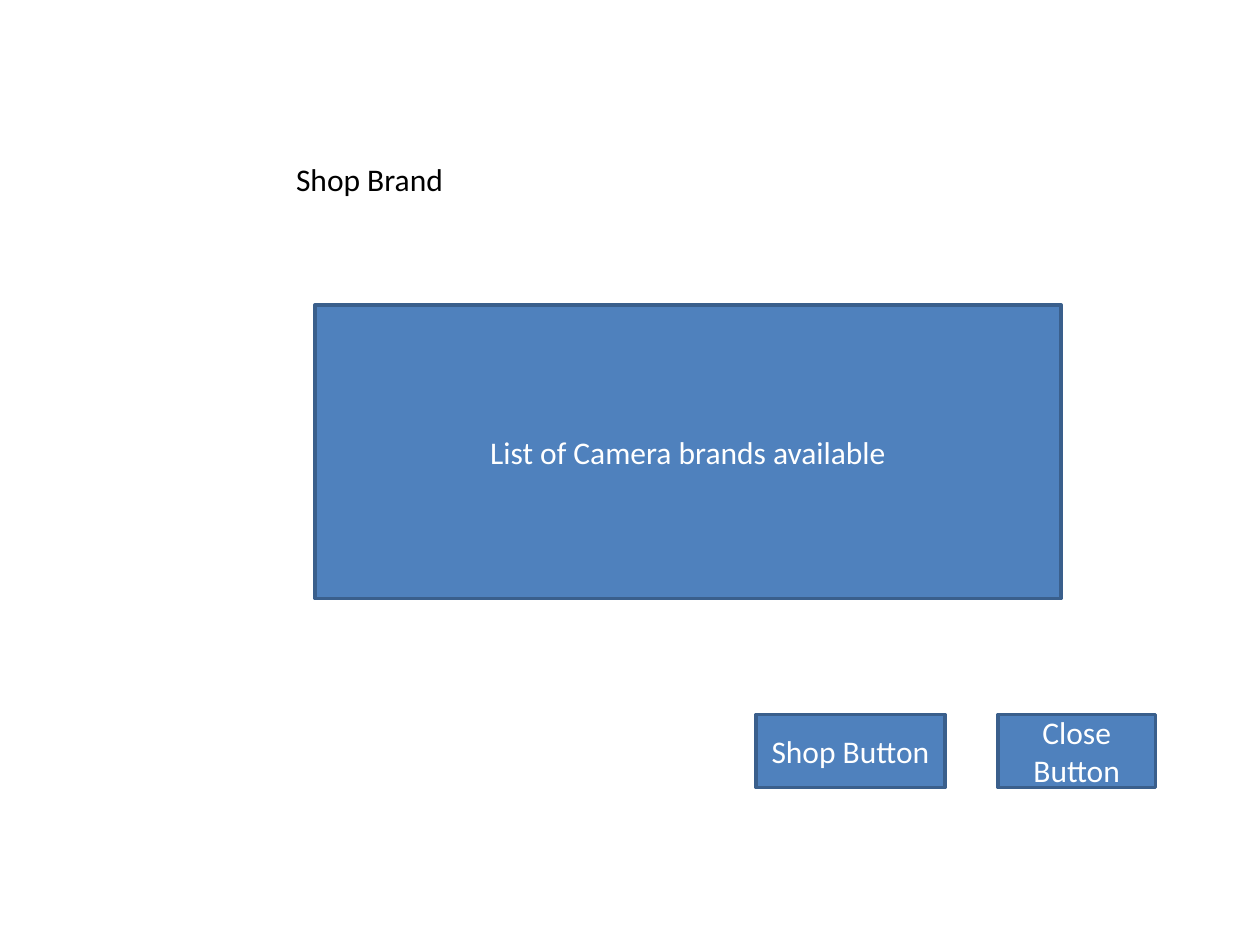
from pptx import Presentation
from pptx.dml.color import RGBColor
from pptx.enum import shapes, text
from pptx.util import Inches, Pt

BLACK = RGBColor(0x00, 0x00, 0x00)
WHITE = RGBColor(0xFF, 0xFF, 0xFF)
BLUE = RGBColor(0x4F, 0x81, 0xBD)
DARK_BLUE = RGBColor(0x3A, 0x5F, 0x8C)


def add_label(frame, words, color):
    frame.word_wrap = True
    run = frame.paragraphs[0].add_run()
    run.text = words
    run.font.name = "Calibri"
    run.font.size = Pt(18)
    run.font.color.rgb = color


prs = Presentation()
prs.slide_width, prs.slide_height = Inches(10), Inches(7.5)
slide = prs.slides.add_slide(prs.slide_layouts[6])

# Page area with its heading, set in from the top left corner
page = slide.shapes.add_textbox(Inches(1.25), Inches(0.92), Inches(7.83), Inches(5.86))
page.text_frame.margin_left = Inches(1.1)
page.text_frame.margin_top = Inches(0.35)
add_label(page.text_frame, "Shop Brand", BLACK)

# Brand list and the two buttons below it
controls = [
    ("List of Camera brands available", 2.5, 2.42, 5.92, 2.33),
    ("Shop Button", 6, 5.67, 1.5, 0.58),
    ("Close Button", 7.92, 5.67, 1.25, 0.58),
]
for words, *place in controls:
    control = slide.shapes.add_shape(
        shapes.MSO_SHAPE.RECTANGLE, *[Inches(length) for length in place])
    control.shadow.inherit = False
    control.fill.solid()
    control.fill.fore_color.rgb = BLUE
    control.line.color.rgb = DARK_BLUE
    control.line.width = Pt(2)
    control.text_frame.vertical_anchor = text.MSO_ANCHOR.MIDDLE
    control.text_frame.paragraphs[0].alignment = text.PP_ALIGN.CENTER
    add_label(control.text_frame, words, WHITE)

prs.save("out.pptx")
